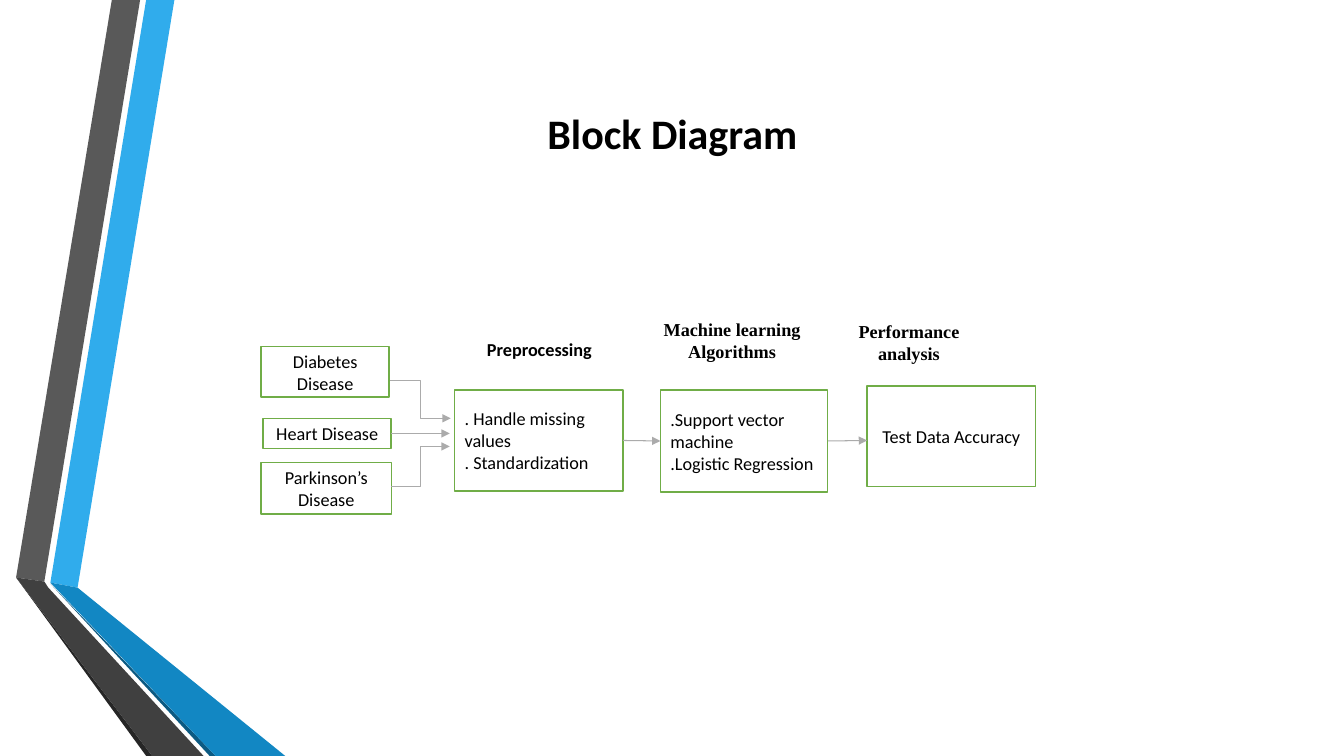
"""Build the block diagram slide for disease prediction."""
import dataclasses
import typing

import pptx
import pptx.dml.color
import pptx.enum.shapes
import pptx.enum.text
import pptx.oxml
import pptx.oxml.ns
import pptx.util

PX = 9144
COLORS = {
    "text": "000000", "box": "FFFFFF", "border": "70AD47", "arrow": "ABABAB",
    "blue": "30ACEC", "blue_mid": "1287C3", "blue_dark": "0C5A82",
    "grey": "595959", "grey_mid": "404040", "grey_dark": "262626",
}
ALIGN = pptx.enum.text.PP_ALIGN
ANCHOR = pptx.enum.text.MSO_ANCHOR
CONNECTOR = pptx.enum.shapes.MSO_CONNECTOR
LABEL = {"size": pptx.util.Pt(13), "name": "Calibri", "bold": False}
HEADING = {**LABEL, "bold": True}
SERIF_HEADING = {**HEADING, "name": "Times New Roman"}
TITLE = {**HEADING, "size": pptx.util.Pt(30)}


class Rect(typing.NamedTuple):
    left: int
    top: int
    width: int
    height: int


@dataclasses.dataclass(frozen=True)
class Ribbon:
    color: str
    points: tuple[tuple[int, int], ...]


@dataclasses.dataclass(frozen=True)
class Box:
    name: str
    rect: Rect
    lines: tuple[str, ...]
    align: typing.Any = ALIGN.CENTER


@dataclasses.dataclass(frozen=True)
class Heading:
    rect: Rect
    lines: tuple[str, ...]
    font: dict
    wrap: bool = True


@dataclasses.dataclass(frozen=True)
class Arrow:
    start: tuple[int, int]
    end: tuple[int, int]
    kind: typing.Any = CONNECTOR.STRAIGHT
    source: str = ""
    target: str = ""


RIBBONS = (
    Ribbon("blue", ((50, 578), (77, 583), (173, 0), (145, 0))),
    Ribbon("grey", ((139, 0), (111, 0), (16, 573), (44, 577))),
    Ribbon("grey_dark", ((16, 573), (145, 750), (151, 750))),
    Ribbon("blue_dark", ((50, 579), (208, 750), (214, 750))),
    Ribbon("blue_mid", ((50, 578), (214, 750), (283, 750), (77, 583))),
    Ribbon("grey_mid", ((16, 573), (151, 750), (202, 750), (48, 583), (44, 577))),
)
BOXES = (
    Box("diabetes", Rect(259, 344, 127, 50), ("Diabetes Disease",)),
    Box("heart", Rect(261, 415, 127, 30), ("Heart Disease",)),
    Box("parkinson", Rect(259, 459, 129, 51), ("Parkinson’s Disease",)),
    Box("preprocessing", Rect(451, 387, 167, 100),
        (". Handle missing values", ". Standardization"), ALIGN.LEFT),
    Box("algorithms", Rect(655, 387, 166, 101),
        (".Support vector machine", ".Logistic Regression"), ALIGN.LEFT),
    Box("accuracy", Rect(860, 383, 167, 100), ("Test Data Accuracy",)),
)
HEADINGS = (
    Heading(Rect(481, 331, 108, 31), ("Preprocessing",), HEADING, False),
    Heading(Rect(647, 311, 158, 55), ("Machine learning", "Algorithms"), SERIF_HEADING),
    Heading(Rect(838, 313, 127, 55), ("Performance analysis",), SERIF_HEADING),
)
ARROWS = (
    Arrow((387, 377), (447, 415), CONNECTOR.ELBOW),
    Arrow((388, 430), (446, 430), source="heart"),
    Arrow((388, 483), (446, 443), CONNECTOR.ELBOW),
    Arrow((618, 437), (655, 437), source="preprocessing", target="algorithms"),
    Arrow((821, 437), (860, 437), source="algorithms"),
)


def rgb(name: str) -> pptx.dml.color.RGBColor:
    return pptx.dml.color.RGBColor.from_string(COLORS[name])


def emu(values: typing.Iterable[int]) -> list[int]:
    return [pptx.util.Emu(v * PX) for v in values]


def paint(s: typing.Any, color: str) -> None:
    s.fill.solid()
    s.fill.fore_color.rgb = rgb(color)
    s.shadow.inherit = False


def write(tf: typing.Any, lines: tuple[str, ...], font: dict,
          align: typing.Any = ALIGN.CENTER, anchor: typing.Any = ANCHOR.MIDDLE,
          wrap: bool = True) -> None:
    frame = {"word_wrap": wrap, "vertical_anchor": anchor,
             "auto_size": pptx.enum.text.MSO_AUTO_SIZE.NONE}
    for key, value in frame.items():
        setattr(tf, key, value)
    for i, line in enumerate(lines):
        p = tf.add_paragraph() if i else tf.paragraphs[0]
        p.alignment = align
        r = p.add_run()
        r.text = line
        for key, value in font.items():
            setattr(r.font, key, value)
        r.font.color.rgb = rgb("text")


def draw_ribbon(sp: typing.Any, ribbon: Ribbon) -> None:
    start, *rest = ribbon.points
    builder = sp.build_freeform(*start, scale=PX)
    builder.add_line_segments(rest, close=True)
    s = builder.convert_to_shape()
    paint(s, ribbon.color)
    s.line.fill.background()


def draw_box(sp: typing.Any, box: Box) -> typing.Any:
    s = sp.add_shape(pptx.enum.shapes.MSO_SHAPE.RECTANGLE, *emu(box.rect))
    paint(s, "box")
    s.line.color.rgb = rgb("border")
    s.line.width = pptx.util.Pt(1)
    write(s.text_frame, box.lines, LABEL, box.align)
    return s


def draw_heading(sp: typing.Any, heading: Heading) -> None:
    s = sp.add_textbox(*emu(heading.rect))
    write(s.text_frame, heading.lines, heading.font,
          anchor=ANCHOR.TOP, wrap=heading.wrap)


def draw_arrow(sp: typing.Any, arrow: Arrow, boxes: dict[str, typing.Any]) -> None:
    s = sp.add_connector(arrow.kind, *emu(arrow.start + arrow.end))
    if arrow.source:
        s.begin_connect(boxes[arrow.source], 3)
    if arrow.target:
        s.end_connect(boxes[arrow.target], 1)
    s.line.color.rgb = rgb("arrow")
    s.line.width = pptx.util.Pt(0.75)
    ns = pptx.oxml.ns.nsdecls("a")
    s.line._get_or_add_ln().append(
        pptx.oxml.parse_xml(f'<a:tailEnd {ns} type="triangle"/>'))
    s._element.spPr.append(pptx.oxml.parse_xml(f"<a:effectLst {ns}/>"))


def main() -> None:
    prs = pptx.Presentation()
    prs.slide_width, prs.slide_height = emu((1333, 750))
    slide = prs.slides.add_slide(prs.slide_layouts[5])
    sp = slide.shapes
    title = sp.title
    title.left, title.top, title.width, title.height = emu(Rect(119, 36, 1096, 192))
    write(title.text_frame, ("Block Diagram",), TITLE)
    for ribbon in RIBBONS:
        draw_ribbon(sp, ribbon)
    boxes = {box.name: draw_box(sp, box) for box in BOXES}
    for heading in HEADINGS:
        draw_heading(sp, heading)
    for arrow in ARROWS:
        draw_arrow(sp, arrow, boxes)
    prs.save("out.pptx")


if __name__ == "__main__":
    main()
